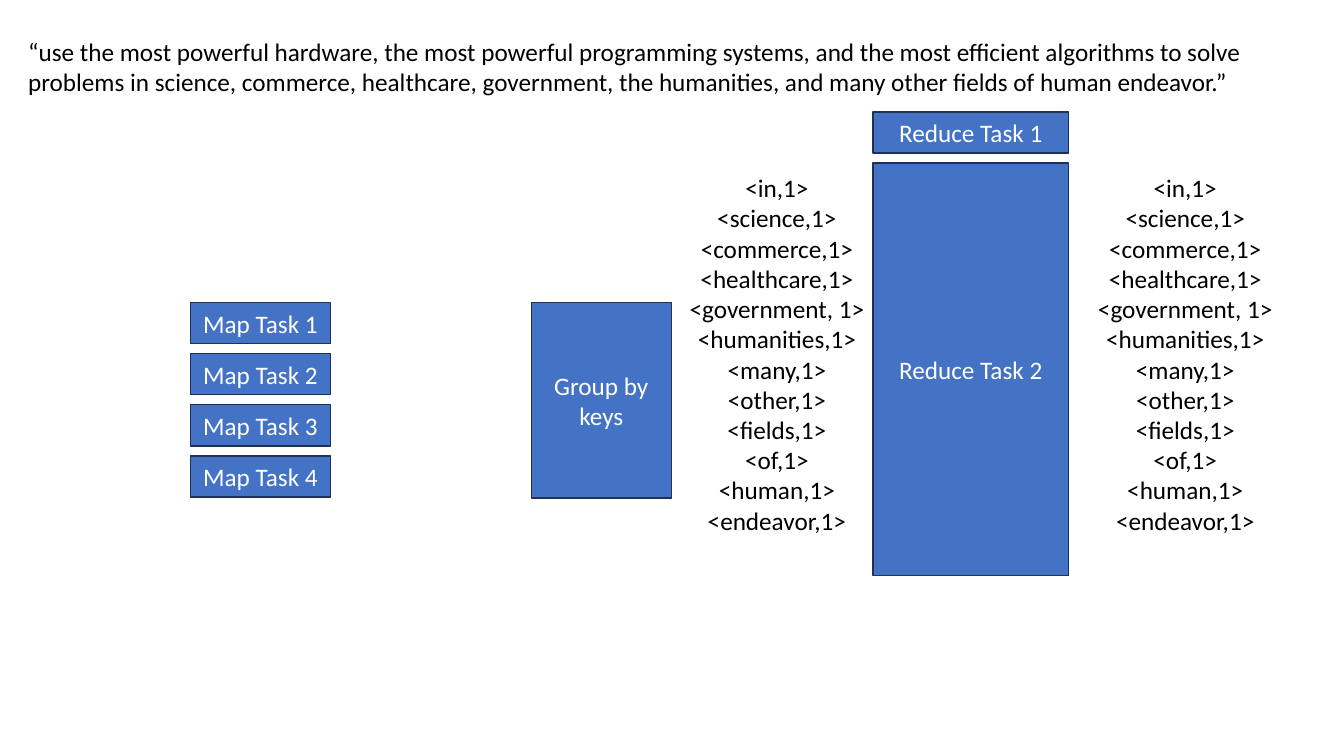
from dataclasses import dataclass

from pptx import Presentation
from pptx.dml.color import RGBColor
from pptx.enum.shapes import MSO_SHAPE
from pptx.enum.text import MSO_ANCHOR, MSO_AUTO_SIZE, PP_ALIGN
from pptx.slide import Slide
from pptx.text.text import TextFrame
from pptx.util import Cm, Pt


@dataclass(frozen=True)
class Theme:
    font: str = "Calibri"
    size: Pt = Pt(18)
    edge: Pt = Pt(1)
    ink: RGBColor = RGBColor(0x00, 0x00, 0x00)
    light: RGBColor = RGBColor(0xFF, 0xFF, 0xFF)
    fill: RGBColor = RGBColor(0x44, 0x72, 0xC4)
    line: RGBColor = RGBColor(0x1E, 0x32, 0x56)


@dataclass(frozen=True)
class Block:
    """Text with its place and size in centimetres."""
    lines: tuple[str, ...]
    left: float
    top: float
    width: float
    height: float
    align: PP_ALIGN = PP_ALIGN.CENTER

    def place(self) -> tuple[Cm, Cm, Cm, Cm]:
        return Cm(self.left), Cm(self.top), Cm(self.width), Cm(self.height)


THEME = Theme()
ROW, STEP = 1.04, 1.29
MAP_TOP, REDUCE_TOP = 7.62, 2.82
MAP_WIDTH, WIDE = 3.53, 4.93

QUOTE = (
    "“use the most powerful hardware, the most powerful programming systems, "
    "and the most efficient algorithms to solve problems in science, commerce, "
    "healthcare, government, the humanities, and many other fields of human "
    "endeavor.”"
)
PAIRS = (
    "<in,1>", "<science,1>", "<commerce,1>", "<healthcare,1>",
    "<government, 1>", "<humanities,1>", "<many,1>", "<other,1>",
    "<fields,1>", "<of,1>", "<human,1>", "<endeavor,1>",
)

TASKS = [
    *(Block((f"Map Task {i + 1}",), 4.8, MAP_TOP + i * STEP, MAP_WIDTH, ROW)
      for i in range(4)),
    Block(("Group by keys",), 13.39, MAP_TOP, MAP_WIDTH, WIDE),
    Block(("Reduce Task 1",), 22, REDUCE_TOP, WIDE, ROW),
    Block(("Reduce Task 2",), 22, REDUCE_TOP + STEP, WIDE, 10.39),
]
LISTS = [Block(PAIRS, left, 4.22, 5.28, 9.5) for left in (16.94, 27.23)]
HEAD = Block((QUOTE,), 0.46, 0.79, 32.56, 1.8, PP_ALIGN.LEFT)


def write(frame: TextFrame, block: Block, color: RGBColor) -> None:
    style = {"name": THEME.font, "size": THEME.size}
    frame.word_wrap = True
    for i, line in enumerate(block.lines):
        para = frame.add_paragraph() if i else frame.paragraphs[0]
        para.alignment = block.align
        run = para.add_run()
        run.text = line
        for key, value in style.items():
            setattr(run.font, key, value)
        run.font.color.rgb = color


def add_task(slide: Slide, block: Block) -> None:
    shape = slide.shapes.add_shape(MSO_SHAPE.RECTANGLE, *block.place())
    shape.shadow.inherit = False
    shape.fill.solid()
    shape.fill.fore_color.rgb = THEME.fill
    shape.line.color.rgb = THEME.line
    shape.line.width = THEME.edge
    shape.text_frame.vertical_anchor = MSO_ANCHOR.MIDDLE
    write(shape.text_frame, block, THEME.light)


def add_text(slide: Slide, block: Block) -> None:
    frame = slide.shapes.add_textbox(*block.place()).text_frame
    write(frame, block, THEME.ink)
    frame.auto_size = MSO_AUTO_SIZE.SHAPE_TO_FIT_TEXT


def main() -> None:
    deck = Presentation()
    deck.slide_width, deck.slide_height = Cm(33.87), Cm(19.05)
    slide = deck.slides.add_slide(deck.slide_layouts[6])
    add_text(slide, HEAD)
    for task in TASKS:
        add_task(slide, task)
    for pairs in LISTS:
        add_text(slide, pairs)
    deck.save("out.pptx")


if __name__ == "__main__":
    main()
